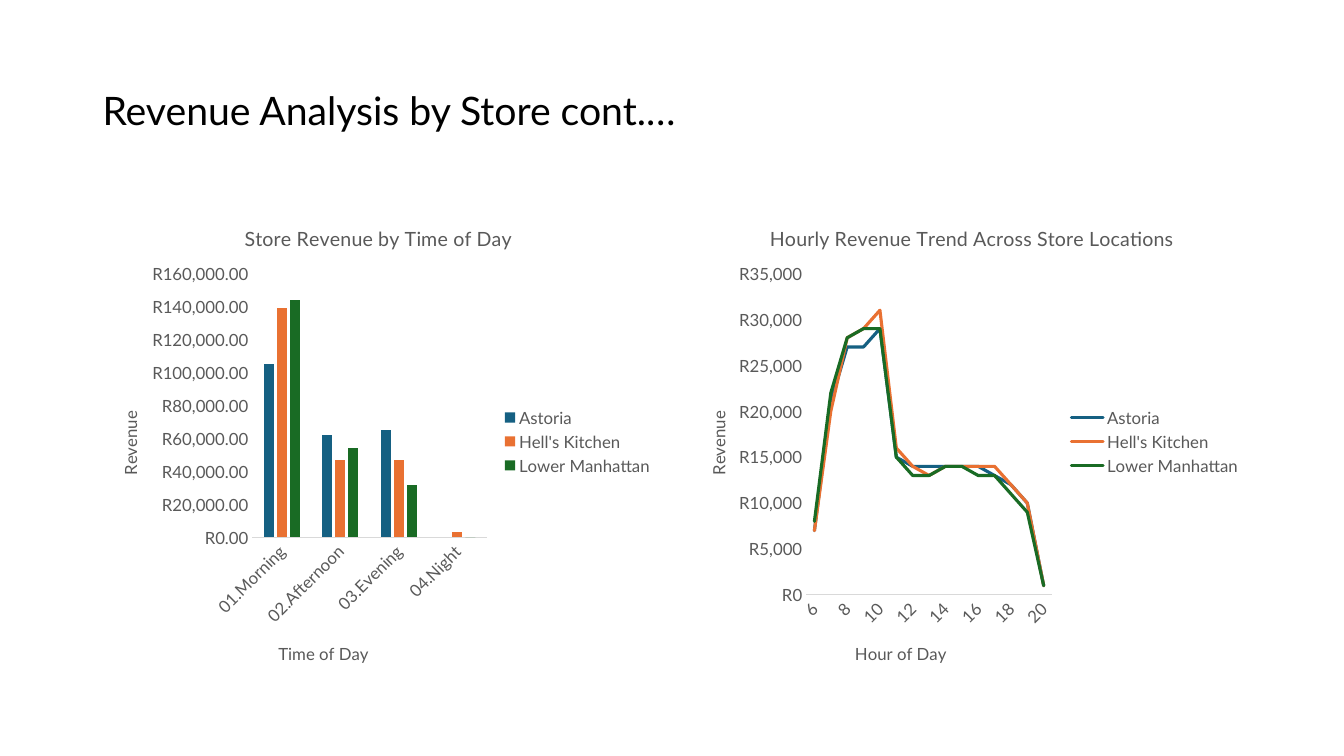
from pptx import Presentation
from pptx.chart.data import CategoryChartData
from pptx.dml.color import RGBColor
from pptx.enum.chart import XL_CHART_TYPE as ChartType, XL_LEGEND_POSITION as LegendPos
from pptx.enum.chart import XL_TICK_MARK as TickMark
from pptx.enum.text import MSO_ANCHOR, PP_ALIGN
from pptx.oxml import parse_xml
from pptx.oxml.ns import nsdecls
from pptx.util import Cm, Pt

FONT = "Lato"
BLACK = RGBColor(0x00, 0x00, 0x00)
GREY = RGBColor(0x59, 0x59, 0x59)
AXIS_GREY = RGBColor(0xD9, 0xD9, 0xD9)
STORE_COLORS = {
    "Astoria": RGBColor(0x15, 0x60, 0x82),
    "Hell's Kitchen": RGBColor(0xE9, 0x71, 0x32),
    "Lower Manhattan": RGBColor(0x19, 0x6B, 0x24),
}


def place(element, index, **fractions):
    """Give a chart part a manual layout, in fractions of the chart's size."""
    for old in element.xpath("./c:layout"):
        element.remove(old)
    target = '<c:layoutTarget val="inner"/>' if "w" in fractions else ""
    modes = '<c:xMode val="edge"/><c:yMode val="edge"/>'
    sizes = "".join(f'<c:{k} val="{v}"/>' for k, v in fractions.items())
    element.insert(index, parse_xml(
        f'<c:layout {nsdecls("c")}><c:manualLayout>{target}{modes}{sizes}'
        "</c:manualLayout></c:layout>"))


def add_title(title, text, size, x, y, rotation=0):
    tf = title.text_frame
    tf.text = text
    font = tf.paragraphs[0].runs[0].font
    font.name, font.size, font.bold = FONT, Pt(size), False
    font.color.rgb = GREY
    title.element.xpath(".//a:bodyPr")[0].set("rot", str(rotation * 60000))
    place(title.element, 1, x=x, y=y)


CHARTS = [
    dict(
        kind=ChartType.COLUMN_CLUSTERED, left=2.33,
        title="Store Revenue by Time of Day", title_x=0.26,
        cat_title="Time of Day", cat_x=0.32,
        plot=dict(x=0.28, y=0.15, w=0.41, h=0.55),
        top=160000, step=20000, fmt="[$R-1C09]#,##0.00;[Red][$R-1C09]#,##0.00",
        cats=["01.Morning", "02.Afternoon", "03.Evening", "04.Night"],
        values=[
            [105000, 62000, 65000, None],
            [139000, 47000, 47000, 3000],
            [144000, 54000, 32000, 0],
        ],
    ),
    dict(
        kind=ChartType.LINE, left=17.15,
        title="Hourly Revenue Trend Across Store Locations", title_x=0.15,
        cat_title="Hour of Day", cat_x=0.3,
        plot=dict(x=0.22, y=0.15, w=0.43, h=0.67),
        top=35000, step=5000, fmt="[$R-1C09]#,##0;[Red][$R-1C09]#,##0",
        cats=[str(hour) for hour in range(6, 21)],
        values=[
            [7000, 21000, 27000, 27000, 29000, 15000, 14000, 14000,
             14000, 14000, 14000, 13000, 12000, 10000, 1000],
            [7000, 20000, 28000, 29000, 31000, 16000, 14000, 13000,
             14000, 14000, 14000, 14000, 12000, 10000, 1000],
            [8000, 22000, 28000, 29000, 29000, 15000, 13000, 13000,
             14000, 14000, 13000, 13000, 11000, 9000, 1000],
        ],
    ),
]

prs = Presentation()
prs.slide_width, prs.slide_height = Cm(33.87), Cm(19.05)
s = prs.slides.add_slide(prs.slide_layouts[5])

title = s.shapes.title
title.left, title.top, title.width, title.height = Cm(2.33), Cm(1.01), Cm(29.21), Cm(3.68)
tf = title.text_frame
tf.text = "Revenue Analysis by Store cont.…"
tf.word_wrap = True
tf.vertical_anchor = MSO_ANCHOR.MIDDLE
p = tf.paragraphs[0]
p.alignment = PP_ALIGN.LEFT
p.line_spacing = 0.9
font = p.runs[0].font
font.name, font.size = FONT, Pt(28)
font.color.rgb = BLACK

for c in CHARTS:
    data = CategoryChartData()
    data.categories = c["cats"]
    for store, values in zip(STORE_COLORS, c["values"]):
        data.add_series(store, values)
    chart = s.shapes.add_chart(
        c["kind"], Cm(c["left"]), Cm(5.08), Cm(14.4), Cm(12.09), data).chart
    chart.font.name, chart.font.size = FONT, Pt(12)
    chart.font.color.rgb = GREY

    add_title(chart.chart_title, c["title"], 14, c["title_x"], 0.04)
    place(chart.element.xpath(".//c:plotArea")[0], 0, **c["plot"])
    chart.has_legend = True
    chart.legend.position = LegendPos.RIGHT
    chart.legend.include_in_layout = False
    chart.legend.font.name, chart.legend.font.size = FONT, Pt(12)
    chart.legend.font.color.rgb = GREY

    cat_axis, val_axis = chart.category_axis, chart.value_axis
    for axis in (cat_axis, val_axis):
        axis.has_major_gridlines = False
        axis.major_tick_mark = axis.minor_tick_mark = TickMark.NONE
        labels = axis.tick_labels.font
        labels.name, labels.size = FONT, Pt(12)
        labels.color.rgb = GREY
    add_title(cat_axis.axis_title, c["cat_title"], 12, c["cat_x"], 0.91)
    add_title(val_axis.axis_title, "Revenue", 12, 0.04, 0.43, rotation=-90)
    cat_axis.format.line.color.rgb = AXIS_GREY
    cat_axis.format.line.width = Pt(0.75)
    chart.element.xpath(".//c:catAx/c:txPr/a:bodyPr")[0].set("rot", str(-45 * 60000))
    val_axis.format.line.fill.background()
    val_axis.minimum_scale, val_axis.maximum_scale = 0, c["top"]
    val_axis.major_unit = c["step"]
    val_axis.tick_labels.number_format = c["fmt"]
    val_axis.tick_labels.number_format_is_linked = False

    plot = chart.plots[0]
    plot.vary_by_categories = False
    is_line = c["kind"] == ChartType.LINE
    if is_line:
        skip = parse_xml(f'<c:tickLblSkip {nsdecls("c")} val="2"/>')
        chart.element.xpath(".//c:catAx/c:noMultiLvlLbl")[0].addprevious(skip)
    else:
        plot.gap_width, plot.overlap = 219, -27
    for series, color in zip(plot.series, STORE_COLORS.values()):
        if is_line:
            series.smooth = False
            series.format.line.color.rgb = color
            series.format.line.width = Pt(2.25)
        else:
            series.format.fill.solid()
            series.format.fill.fore_color.rgb = color
    for line in chart.element.xpath(".//c:ser/c:spPr/a:ln"):
        line.set("cap", "rnd")

prs.save("out.pptx")
